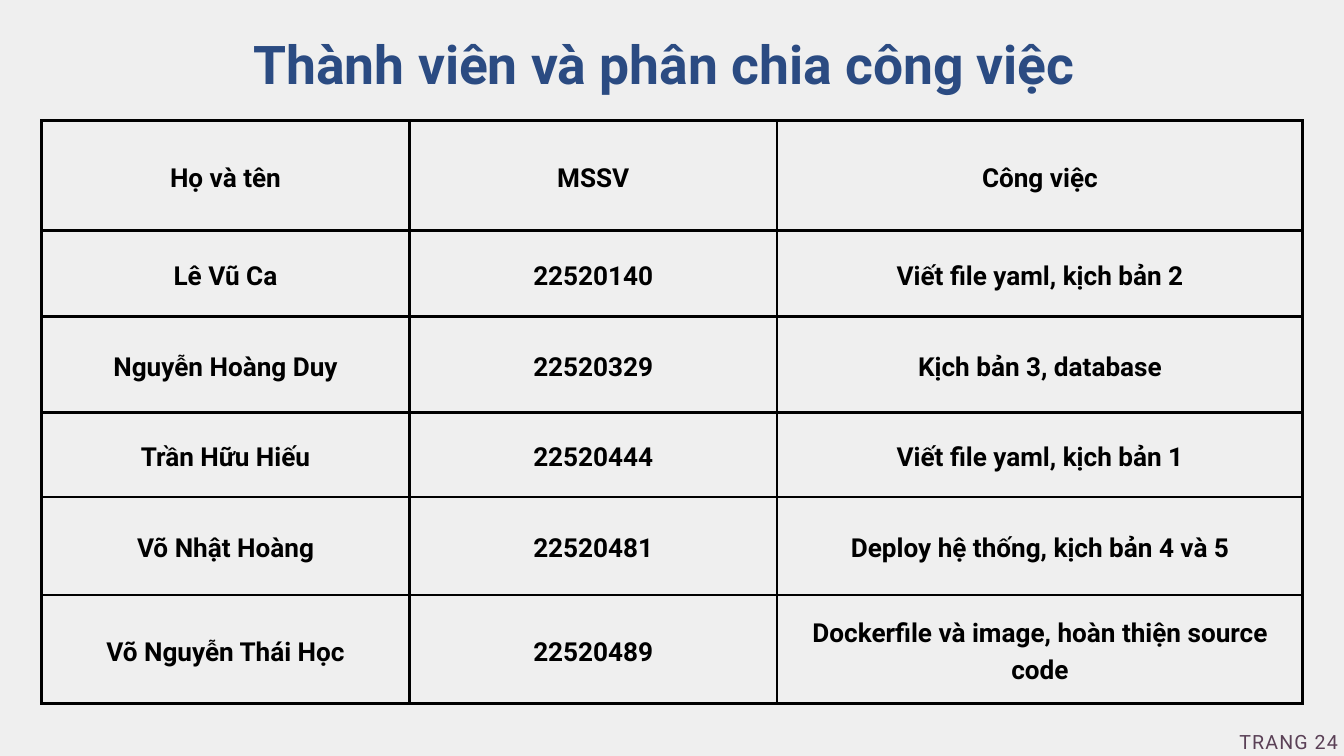
from lxml.etree import SubElement
from pptx import Presentation
from pptx.dml.color import RGBColor
from pptx.enum.text import MSO_ANCHOR as Anchor, MSO_AUTO_SIZE as AutoSize, PP_ALIGN as Align
from pptx.oxml.ns import qn
from pptx.util import Cm, Pt

COLORS = {"background": "EFEFEF", "title": "2B4B82", "table": "000000", "page": "5A4056"}
FONT = "Roboto"

COLUMN_WIDTHS = [13.9, 13.9, 19.87]
ROW_HEIGHTS = [4.17, 3.25, 3.63, 3.18, 3.71, 4.11]
MEMBERS = [
    ("Họ và tên", "MSSV", "Công việc"),
    ("Lê Vũ Ca", "22520140", "Viết file yaml, kịch bản 2"),
    ("Nguyễn Hoàng Duy", "22520329", "Kịch bản 3, database"),
    ("Trần Hữu Hiếu", "22520444", "Viết file yaml, kịch bản 1"),
    ("Võ Nhật Hoàng", "22520481", "Deploy hệ thống, kịch bản 4 và 5"),
    ("Võ Nguyễn Thái Học", "22520489", "Dockerfile và image, hoàn thiện source code"),
]


def color(name):
    return RGBColor.from_string(COLORS[name])


def write(frame, text, size, color_name, line_height, align, bold=False):
    frame.word_wrap = True
    paragraph = frame.paragraphs[0]
    paragraph.alignment = align
    paragraph.line_spacing = Pt(line_height)
    paragraph.space_before = Pt(0)
    run = paragraph.add_run()
    run.text = text
    run.font.name = FONT
    run.font.size = Pt(size)
    run.font.bold = bold
    run.font.color.rgb = color(color_name)
    return run


def clear_margins(frame):
    frame.margin_left = frame.margin_right = frame.margin_top = frame.margin_bottom = 0
    frame.vertical_anchor = Anchor.TOP
    frame.auto_size = AutoSize.NONE


def add_title(slide, text):
    title = slide.shapes.title
    title.left, title.top, title.width, title.height = Cm(9.58), Cm(0.79), Cm(33.53), Cm(2.79)
    clear_margins(title.text_frame)
    write(title.text_frame, text, 57.2, "title", 80.1, Align.LEFT, bold=True)


def add_borders(cell, width):
    properties = cell._tc.get_or_add_tcPr()
    for position, side in enumerate(("lnL", "lnR", "lnT", "lnB")):
        line = SubElement(properties, qn(f"a:{side}"), w=str(Pt(width)))
        fill = SubElement(line, qn("a:solidFill"))
        SubElement(fill, qn("a:srgbClr"), val=COLORS["table"])
        # Borders come before the cell fill
        properties.insert(position, line)


def add_member_table(slide):
    table = slide.shapes.add_table(
        len(ROW_HEIGHTS), len(COLUMN_WIDTHS), Cm(1.57), Cm(4.55),
        Cm(sum(COLUMN_WIDTHS)), Cm(sum(ROW_HEIGHTS))).table
    table.first_row = table.horz_banding = False
    for column, width in zip(table.columns, COLUMN_WIDTHS):
        column.width = Cm(width)
    for row, height, member in zip(table.rows, ROW_HEIGHTS, MEMBERS):
        row.height = Cm(height)
        for cell, text in zip(row.cells, member):
            cell.fill.background()
            add_borders(cell, 3)
            cell.vertical_anchor = Anchor.MIDDLE
            cell.margin_left = cell.margin_right = Cm(0.53)
            cell.margin_top = cell.margin_bottom = Cm(0.53)
            write(cell.text_frame, text, 28, "table", 39.2, Align.CENTER, bold=True)


def add_page_label(slide, text):
    label = slide.shapes.add_textbox(Cm(36.6), Cm(27.43), Cm(14.2), Cm(1))
    clear_margins(label.text_frame)
    run = write(label.text_frame, text, 21, "page", 29.4, Align.RIGHT)
    # Letter spacing in hundredths of a point
    run.font._element.set("spc", "120")


def main():
    presentation = Presentation()
    presentation.slide_width, presentation.slide_height = Cm(50.8), Cm(28.58)
    slide = presentation.slides.add_slide(presentation.slide_layouts[5])
    slide.background.fill.solid()
    slide.background.fill.fore_color.rgb = color("background")

    add_member_table(slide)
    add_title(slide, "Thành viên và phân chia công việc")
    add_page_label(slide, "TRANG 24 ")
    presentation.save("out.pptx")


if __name__ == "__main__":
    main()
